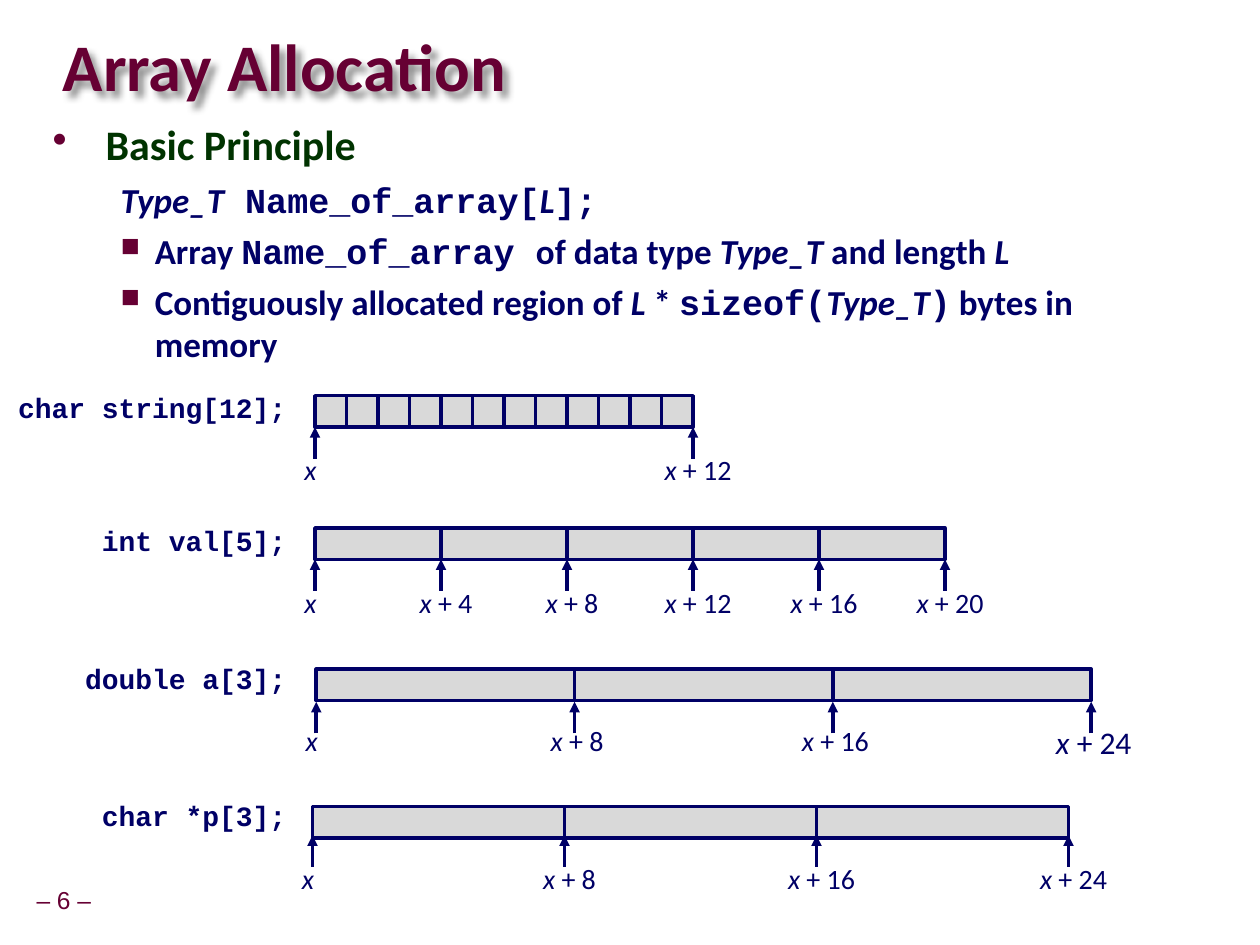
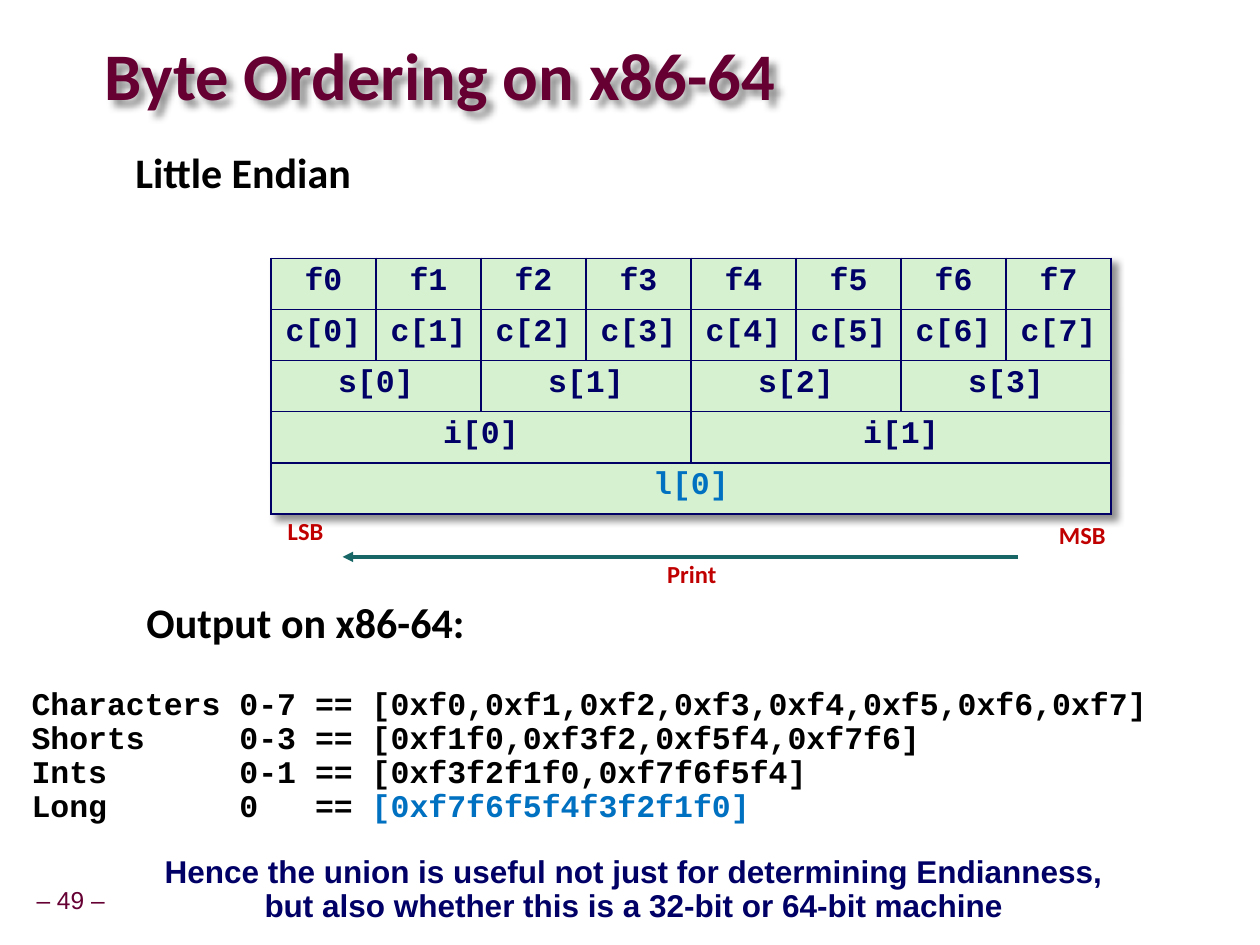
from typing import Any, NamedTuple, Optional

from lxml import etree
from pptx import Presentation
from pptx.dml.color import RGBColor
from pptx.enum import shapes, text
from pptx.oxml import ns
from pptx.util import Inches, Pt

# Shared colours, fonts and alignments
MAROON = RGBColor(0x66, 0x00, 0x33)
NAVY = RGBColor(0x00, 0x00, 0x66)
DARK_GREEN = RGBColor(0x00, 0x33, 0x00)
BLACK = RGBColor(0x00, 0x00, 0x00)
RED = RGBColor(0xC0, 0x00, 0x00)
BLUE = RGBColor(0x00, 0x70, 0xC0)
TEAL = RGBColor(0x19, 0x66, 0x66)
GREY = RGBColor(0xD9, 0xD9, 0xD9)
PALE_GREEN = RGBColor(0xD5, 0xF1, 0xCF)
SANS, MONO, FOOTER_FONT = "Calibri", "Courier New", "Arial"
LEFT, CENTER, RIGHT = text.PP_ALIGN.LEFT, text.PP_ALIGN.CENTER, text.PP_ALIGN.RIGHT


class Box(NamedTuple):
    left: float
    top: float
    width: float
    height: float


class Style(NamedTuple):
    size: float
    color: RGBColor
    font: str = SANS
    bold: bool = False
    align: Any = LEFT
    spacing: float = 0.9


class Piece(NamedTuple):
    """A stretch of text that departs from its paragraph's style."""
    words: str
    italic: bool = False
    font: Optional[str] = None
    color: Optional[RGBColor] = None


class BodyLine(NamedTuple):
    pieces: list[Piece]
    style: Style
    margin: float
    hanging: float
    before: float
    bullet: str = ""
    bullet_percent: int = 100


class ArrayRow(NamedTuple):
    declaration: str
    declaration_top: float
    left: float
    top: float
    cell_width: float
    cells: int
    cell_bytes: int
    marked: list[int]
    arrow_top: float
    label_top: float
    label_shift: float = 0.04
    last_size: int = 16


TITLE = Style(38, MAROON, bold=True, spacing=0.87)
FOOTER = Style(14, MAROON, FOOTER_FONT)
HEADING = Style(24, BLACK, bold=True, align=CENTER)
PRINCIPLE = Style(24, DARK_GREEN, bold=True, spacing=0.95)
DETAIL = Style(20, NAVY, bold=True, spacing=1.0)
DECLARATION = Style(16, NAVY, MONO, bold=True, align=RIGHT)
ADDRESS = Style(16, NAVY, align=CENTER)
CELL = Style(18, NAVY, MONO, bold=True, align=CENTER)
OUTPUT = Style(18, BLACK, MONO, bold=True)
END_LABEL = Style(14, RED, bold=True, align=CENTER)
CONCLUSION = Style(18, NAVY, FOOTER_FONT, bold=True, align=CENTER)


# Text
def write(paragraph: Any, pieces: list[Piece], style: Style) -> None:
    paragraph.alignment = style.align
    paragraph.line_spacing = style.spacing
    for piece in pieces:
        run = paragraph.add_run()
        run.text = piece.words
        run.font.name = piece.font or style.font
        run.font.size = Pt(style.size)
        run.font.bold = style.bold
        run.font.italic = piece.italic
        run.font.color.rgb = piece.color or style.color


def add_text(parent: Any, box: Box, lines: list[list[Piece]], style: Style,
             inset: Optional[float] = None, wrap: bool = True,
             middle: bool = False) -> Any:
    holder = parent.add_textbox(*map(Inches, box))
    frame = holder.text_frame
    frame.word_wrap = wrap
    if middle:
        frame.vertical_anchor = text.MSO_ANCHOR.MIDDLE
    if inset is not None:
        frame.margin_left = frame.margin_right = Inches(inset)
        frame.margin_top = frame.margin_bottom = Inches(inset)
    for i, pieces in enumerate(lines):
        write(frame.add_paragraph() if i else frame.paragraphs[0], pieces, style)
    return holder


def add_shadow(properties: Any, position: int) -> None:
    effects = etree.Element(ns.qn("a:effectLst"))
    shadow = etree.SubElement(effects, ns.qn("a:outerShdw"), blurRad="50800",
                              dist="50800", dir="2700000", algn="tl", rotWithShape="0")
    color = etree.SubElement(shadow, ns.qn("a:srgbClr"), val="000000")
    etree.SubElement(color, ns.qn("a:alpha"), val="43000")
    properties.insert(position, effects)


def add_slide(deck: Any, title: str, title_box: Box, number: int) -> Any:
    parts = deck.slides.add_slide(deck.slide_layouts[6]).shapes
    add_text(parts, Box(0.24, 7, 0.7, 0.31), [[Piece(f"– {number} –")]], FOOTER,
             inset=0.05, middle=True)
    heading = add_text(parts, title_box, [[Piece(title)]], TITLE, inset=0, middle=True)
    properties = heading.element.spPr
    add_shadow(properties, len(properties))
    return parts


def add_body(parent: Any, box: Box, lines: list[BodyLine]) -> None:
    frame = add_text(parent, box, [], DETAIL).text_frame
    for i, line in enumerate(lines):
        paragraph = frame.add_paragraph() if i else frame.paragraphs[0]
        write(paragraph, line.pieces, line.style)
        paragraph.space_before = Pt(line.before)
        properties = paragraph._p.get_or_add_pPr()
        properties.set("marL", str(Inches(line.margin)))
        properties.set("indent", str(Inches(-line.hanging)))
        if line.bullet:
            color = etree.SubElement(properties, ns.qn("a:buClr"))
            etree.SubElement(color, ns.qn("a:srgbClr"), val=str(MAROON))
            etree.SubElement(properties, ns.qn("a:buSzPct"),
                             val=str(line.bullet_percent * 1000))
            etree.SubElement(properties, ns.qn("a:buChar"), char=line.bullet)


# Lines, array rows and the table
def add_arrow(parent: Any, x1: float, y1: float, x2: float, y2: float,
              color: RGBColor) -> None:
    arrow = parent.add_connector(shapes.MSO_CONNECTOR.STRAIGHT,
                                 *map(Inches, (x1, y1, x2, y2)))
    arrow.line.color.rgb = color
    arrow.line.width = Pt(2)
    etree.SubElement(arrow.line._get_or_add_ln(), ns.qn("a:tailEnd"), type="triangle")
    etree.SubElement(arrow.element.spPr, ns.qn("a:effectLst"))


def add_array(parent: Any, row: ArrayRow) -> None:
    parts = parent.add_group_shape().shapes
    add_text(parts, Box(0.03, row.declaration_top, 2.34, 0.37),
             [[Piece(row.declaration)]], DECLARATION)
    for i in range(row.cells):
        box = Box(row.left + i * row.cell_width, row.top, row.cell_width, 0.25)
        cell = parts.add_shape(shapes.MSO_SHAPE.RECTANGLE, *map(Inches, box))
        cell.shadow.inherit = False
        cell.fill.solid()
        cell.fill.fore_color.rgb = GREY
        cell.line.color.rgb = NAVY
        cell.line.width = Pt(2)
    for edge in row.marked:
        x = row.left + edge * row.cell_width
        add_arrow(parts, x, row.arrow_top + 0.25, x, row.arrow_top, NAVY)
        if edge == 0:
            label, box = [Piece("x", italic=True)], Box(x - 0.25, row.label_top, 0.43, 0.37)
        else:
            label = [Piece("x ", italic=True), Piece(f"+ {edge * row.cell_bytes}")]
            box = Box(x + row.label_shift - 0.54, row.label_top, 1.08, 0.37)
        size = row.last_size if edge == row.cells else ADDRESS.size
        add_text(parts, box, [label], ADDRESS._replace(size=size))


def outline_cell(cell: Any) -> None:
    properties = cell._tc.get_or_add_tcPr()
    for i, side in enumerate(("lnL", "lnR", "lnT", "lnB")):
        border = etree.Element(ns.qn(f"a:{side}"), w=str(Pt(1)))
        fill = etree.SubElement(border, ns.qn("a:solidFill"))
        etree.SubElement(fill, ns.qn("a:srgbClr"), val=str(NAVY))
        properties.insert(i, border)


def add_union_table(parent: Any, box: Box, rows: list[list[str]]) -> None:
    columns = len(rows[0])
    table = parent.add_table(len(rows), columns, *map(Inches, box)).table
    table.first_row = table.horz_banding = False
    add_shadow(table._tbl.tblPr, 0)
    for r, names in enumerate(rows):
        span = columns // len(names)
        for c in range(columns):
            cell = table.cell(r, c)
            cell.fill.solid()
            cell.fill.fore_color.rgb = PALE_GREEN
            outline_cell(cell)
        for i, name in enumerate(names):
            cell = table.cell(r, i * span)
            if span > 1:
                cell.merge(table.cell(r, (i + 1) * span - 1))
            color = BLUE if len(names) == 1 else None
            write(cell.text_frame.paragraphs[0], [Piece(name, color=color)], CELL)


# Slides
def build_array_allocation(deck: Any) -> None:
    parts = add_slide(deck, "Array Allocation", Box(0.5, 0.25, 6.5, 0.63), 6)
    type_t, length = Piece("Type_T", italic=True), Piece("L", italic=True)
    square = ("■", 75)
    add_body(parts, Box(0.32, 0.92, 9.09, 1.77), [
        BodyLine([Piece("Basic Principle")], PRINCIPLE, 0.42, 0.42, 0, "•"),
        BodyLine([type_t, Piece(" Name_of_array[", font=MONO), length,
                  Piece("];", font=MONO)], DETAIL, 0.81, 0.27, 5),
        BodyLine([Piece("Array "), Piece("Name_of_array ", font=MONO),
                  Piece("of data type "), type_t, Piece(" and length "), length],
                 DETAIL, 0.81, 0.27, 5, *square),
        BodyLine([Piece("Contiguously allocated region of "), length, Piece(" * "),
                  Piece("sizeof(", font=MONO), type_t, Piece(")", font=MONO),
                  Piece(" bytes in memory")], DETAIL, 0.81, 0.27, 5, *square),
    ])
    arrays = [
        ArrayRow("char string[12];", 3.08, 2.5, 3.14, 0.25, 12, 1, [0, 12], 3.39, 3.57),
        ArrayRow("int val[5];", 4.14, 2.5, 4.19, 1, 5, 4, list(range(6)), 4.44, 4.63),
        ArrayRow("double a[3];", 5.23, 2.51, 5.31, 2.05, 3, 8, list(range(4)), 5.57, 5.72,
                 label_shift=0.02, last_size=18),
        ArrayRow("char *p[3];", 6.32, 2.48, 6.4, 2, 3, 8, list(range(4)), 6.63, 6.82),
    ]
    for row in arrays:
        add_array(parts, row)


def build_byte_ordering(deck: Any) -> None:
    parts = add_slide(deck, "Byte Ordering on x86-64", Box(0.83, 0, 7.08, 1.27), 49)
    for heading, box in (("Little Endian", Box(0.5, 1.17, 2.86, 0.49)),
                         ("Output on x86-64:", Box(0.42, 4.74, 4.01, 0.49))):
        add_text(parts, box, [[Piece(heading)]], HEADING, inset=0.04)

    # Union members sharing the same eight bytes
    members = [[f"f{i}" for i in range(8)]]
    members += [[f"{name}[{i}]" for i in range(count)]
                for name, count in (("c", 8), ("s", 4), ("i", 2), ("l", 1))]
    add_union_table(parts, Box(2.15, 2.05, 6.67, 2.03), members)

    # Print direction
    for label, box in (("LSB", Box(2.24, 4.08, 0.37, 0.32)),
                       ("MSB", Box(8.36, 4.11, 0.46, 0.32)),
                       ("Print", Box(5.25, 4.42, 0.48, 0.32))):
        add_text(parts, box, [[Piece(label)]], END_LABEL, inset=0.04, wrap=False)
    add_arrow(parts, 8.08, 4.42, 2.72, 4.42, TEAL)

    # Program output in fixed columns
    printed = [
        ("Characters", "0-7", "[0xf0,0xf1,0xf2,0xf3,0xf4,0xf5,0xf6,0xf7]", None),
        ("Shorts", "0-3", "[0xf1f0,0xf3f2,0xf5f4,0xf7f6]", None),
        ("Ints", "0-1", "[0xf3f2f1f0,0xf7f6f5f4]", None),
        ("Long", "0", "[0xf7f6f5f4f3f2f1f0]", BLUE),
    ]
    add_text(parts, Box(0.21, 5.42, 9.58, 1.35),
             [[Piece(f"{kind:<11}{indices:<4}== "), Piece(values, color=color)]
              for kind, indices, values, color in printed], OUTPUT, inset=0.04)
    add_text(parts, Box(1.17, 6.75, 7.72, 0.65),
             [[Piece("Hence the union is useful not just for determining Endianness,")],
              [Piece("but also whether this is a 32-bit or 64-bit machine")]], CONCLUSION)


def main() -> None:
    deck = Presentation()
    deck.slide_width, deck.slide_height = Inches(10), Inches(7.5)
    build_array_allocation(deck)
    build_byte_ordering(deck)
    deck.save("out.pptx")


if __name__ == "__main__":
    main()
